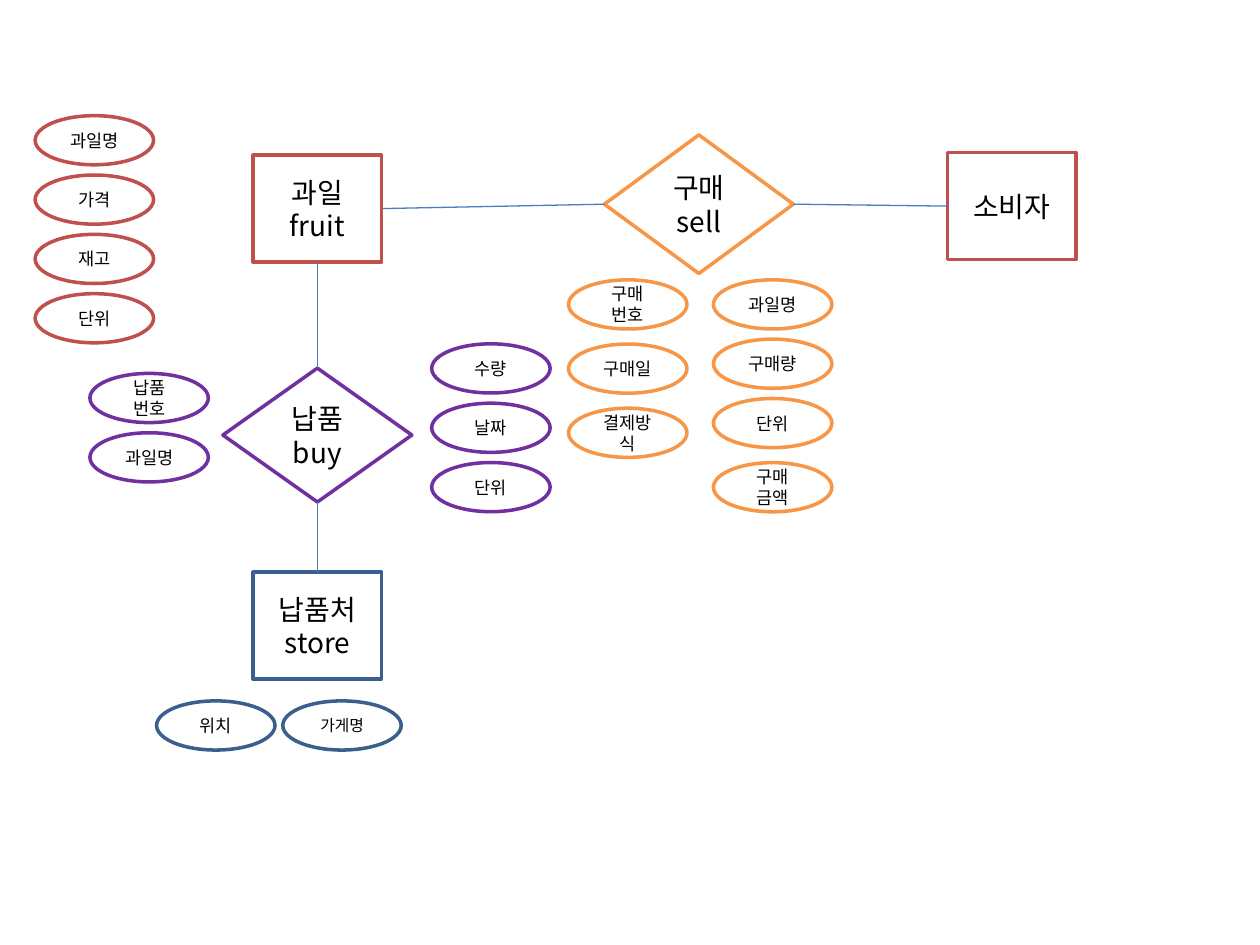
from pptx import Presentation
from pptx.dml.color import RGBColor
from pptx.enum.shapes import MSO_CONNECTOR, MSO_SHAPE
from pptx.enum.text import MSO_ANCHOR, PP_ALIGN
from pptx.util import Pt
from lxml.etree import SubElement
from pptx.oxml.ns import qn

FONT = "Noto Sans CJK KR"
RED, BLUE, PURPLE, ORANGE = "C0504D", "3A5F8C", "7030A0", "F79646"
LINK_COLOUR = "4B7EBC"
WHITE = "FFFFFF"
ENTITY, RELATION = MSO_SHAPE.RECTANGLE, MSO_SHAPE.DIAMOND
ENTITY_SIZE = (73.4, 61.2)
ATTRIBUTE_SIZE = (67.7, 28.1)
TOP, LEFT, BOTTOM, RIGHT = range(4)

# Entities and relations: lines, kind, centre, size, colour, fill
nodes = {
    "fruit": (["과일", "fruit"], ENTITY, (181.4, 119.2), ENTITY_SIZE, RED, None),
    "store": (["납품처", "store"], ENTITY, (181.4, 357.5), ENTITY_SIZE, BLUE, None),
    "buy": (["납품", "buy"], RELATION, (181.4, 248.6), (108, 76.5), PURPLE, None),
    "sell": (["구매", "sell"], RELATION, (399.4, 116.7), (108, 79.2), ORANGE, WHITE),
    "consumer": (["소비자"], ENTITY, (578.2, 117.8), ENTITY_SIZE, RED, None),
}

# Links: node and side at each end
links = [
    ("consumer", LEFT, "sell", RIGHT),
    ("fruit", RIGHT, "sell", LEFT),
    ("fruit", BOTTOM, "buy", TOP),
    ("buy", BOTTOM, "store", TOP),
]

# Attribute columns: left, top, step, colour, fill, font size, labels
attributes = [
    (20.1, 66.1, 33.9, RED, None, 10, ["과일명", "가격", "재고", "단위"]),
    (161.6, 400.5, 0, BLUE, None, 9, ["가게명"]),
    (89.5, 400.5, 0, BLUE, None, 10, ["위치"]),
    (51.4, 213.4, 33.9, PURPLE, None, 10, ["납품\n번호", "과일명"]),
    (246.7, 196.5, 33.9, PURPLE, None, 10, ["수량", "날짜", "단위"]),
    (407.7, 159.9, 33.9, ORANGE, WHITE, 10, ["과일명", "구매량", "단위"]),
    (407.7, 264.4, 0, ORANGE, WHITE, 10, ["구매\n금액"]),
    (324.9, 159.9, 36.7, ORANGE, WHITE, 10, ["구매\n번호", "구매일", "결제방식"]),
]

deck = Presentation()
deck.slide_width, deck.slide_height = Pt(720), Pt(540)
slide = deck.slides.add_slide(deck.slide_layouts[6])


def colour(hex_value):
    return RGBColor.from_string(hex_value)


def write(shape, lines, size, ink="000000"):
    frame = shape.text_frame
    frame.word_wrap = True
    frame.vertical_anchor = MSO_ANCHOR.MIDDLE
    for index, line in enumerate(lines):
        paragraph = frame.add_paragraph() if index else frame.paragraphs[0]
        paragraph.alignment = PP_ALIGN.CENTER
        run = paragraph.add_run()
        run.text = line
        run.font.size = Pt(size)
        run.font.color.rgb = colour(ink)
        run.font.name = FONT
        # Korean glyphs use the East Asian font
        SubElement(run.font._element, qn("a:ea"), typeface=FONT)


def outline(kind, left, top, size, edge, fill):
    shape = slide.shapes.add_shape(kind, Pt(left), Pt(top), *map(Pt, size))
    shape.shadow.inherit = False
    if fill:
        shape.fill.solid()
        shape.fill.fore_color.rgb = colour(fill)
    else:
        shape.fill.background()
    shape.line.color.rgb = colour(edge)
    shape.line.width = Pt(2)
    return shape


# Entities and relations
placed = {}
for key, (lines, kind, (x, y), size, edge, fill) in nodes.items():
    placed[key] = outline(kind, x - size[0] / 2, y - size[1] / 2, size, edge, fill)
    write(placed[key], lines, size=16)

# Links
for start, start_side, end, end_side in links:
    link = slide.shapes.add_connector(MSO_CONNECTOR.STRAIGHT, 0, 0, 0, 0)
    link.begin_connect(placed[start], start_side)
    link.end_connect(placed[end], end_side)
    link.line.color.rgb = colour(LINK_COLOUR)
    link.line.width = Pt(0.75)
    SubElement(link._element.spPr, qn("a:effectLst"))

# Attributes
for left, top, step, edge, fill, size, labels in attributes:
    for row, label in enumerate(labels):
        attribute = outline(MSO_SHAPE.OVAL, left, top + row * step,
                            ATTRIBUTE_SIZE, edge, fill)
        write(attribute, label.split("\n"), size=size)

deck.save("out.pptx")
